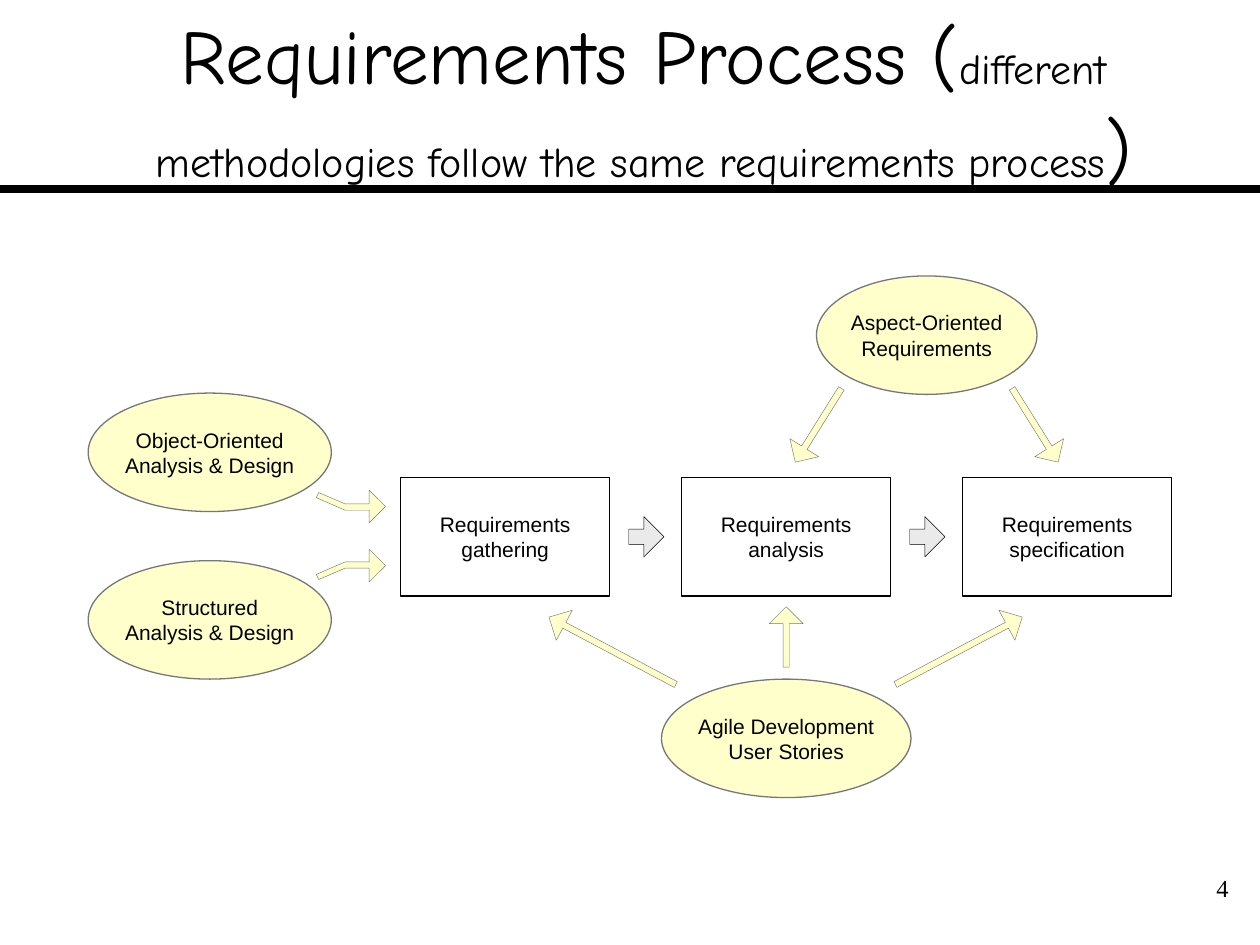
from lxml.etree import SubElement
from pptx import Presentation
from pptx.dml.color import RGBColor
from pptx.enum.shapes import MSO_CONNECTOR, MSO_SHAPE
from pptx.enum.text import MSO_ANCHOR, PP_ALIGN
from pptx.oxml.ns import qn
from pptx.util import Inches, Pt

BLACK, WHITE = "000000", "FFFFFF"
CREAM, GRAY, LIGHT_GRAY = "FFFFCC", "777777", "EAEAEA"

STEPS = ["Requirements gathering", "Requirements analysis", "Requirements specification"]
STEP_LEFT, STEP_TOP, STEP_WIDTH, STEP_PITCH = 3.18, 3.79, 1.66, 2.23
OVAL_HEIGHT = 0.94

# text, left, top, width
METHODS = [
    ("Agile Development User Stories", 5.25, 5.39, 1.98),
    ("Aspect-Oriented Requirements", 6.48, 2.19, 1.75),
    ("Object-Oriented Analysis & Design", 0.7, 3.12, 1.93),
    ("Structured Analysis & Design", 0.7, 4.45, 1.93),
]

# left, top, length, rotation, shaft share, head share
METHOD_ARROWS = [
    (6, 4.92, 0.48, 270, 0.18, 0.5),
    (6.15, 3.24, 0.69, 122, 0.19, 0.5),
    (7.87, 3.24, 0.69, 58, 0.19, 0.5),
    (4.29, 5.03, 1.14, 208, 0.19, 0.51),
    (7.04, 5.03, 1.14, 332, 0.19, 0.51),
]

BENT_ARROW = [(2.74, 4), (2.93, 4), (2.93, 3.89), (3.06, 4.02), (2.93, 4.15),
              (2.93, 4.05), (2.74, 4.05), (2.51, 3.95), (2.53, 3.91)]
MIRROR_SUM = 8.51  # the two bent arrows mirror each other about half this height


def color(hex_code):
    return RGBColor.from_string(hex_code)


def write(shape, *runs, font="Arial", align=PP_ALIGN.CENTER,
          anchor=MSO_ANCHOR.MIDDLE, inset_x=0.1, inset_y=0.05):
    """Fill a shape with one paragraph of (text, size) runs."""
    frame = shape.text_frame
    frame.word_wrap = True
    frame.vertical_anchor = anchor
    frame.margin_left = frame.margin_right = Inches(inset_x)
    frame.margin_top = frame.margin_bottom = Inches(inset_y)
    paragraph = frame.paragraphs[0]
    paragraph.alignment = align
    for text, size in runs:
        run = paragraph.add_run()
        run.text = text
        run.font.size = Pt(size)
        run.font.name = font
        run.font.color.rgb = color(BLACK)


def paint(shape, fill, line, weight):
    shape.shadow.inherit = False
    shape.fill.solid()
    shape.fill.fore_color.rgb = color(fill)
    shape.line.color.rgb = color(line)
    shape.line.width = Pt(weight)


def add_preset(slide, kind, left, top, width, height, fill, line, weight):
    shape = slide.shapes.add_shape(kind, Inches(left), Inches(top), Inches(width), Inches(height))
    paint(shape, fill, line, weight)
    return shape


def add_arrow(slide, left, top, length, height, fill, line, shaft, head, rotation=0):
    arrow = add_preset(slide, MSO_SHAPE.RIGHT_ARROW, left, top, length, height, fill, line, 0.25)
    arrow.adjustments[0] = shaft
    arrow.adjustments[1] = head
    arrow.rotation = rotation


def add_bent_arrow(slide, points):
    (start_x, start_y), *others = [(Inches(x), Inches(y)) for x, y in points]
    builder = slide.shapes.build_freeform(start_x, start_y)
    builder.add_line_segments(others, close=True)
    paint(builder.convert_to_shape(), CREAM, GRAY, 0.25)


def add_rule(slide, top):
    rule = slide.shapes.add_connector(
        MSO_CONNECTOR.STRAIGHT, 0, Inches(top), Inches(10), Inches(top))
    rule.line.color.rgb = color(BLACK)
    rule.line.width = Pt(4.5)
    SubElement(rule._element.spPr, qn("a:effectLst"))


def add_text_box(slide, left, top, width, height, *runs, **text_format):
    box = slide.shapes.add_textbox(Inches(left), Inches(top), Inches(width), Inches(height))
    write(box, *runs, **text_format)


def main():
    presentation = Presentation()
    presentation.slide_width, presentation.slide_height = Inches(10), Inches(7.5)
    slide = presentation.slides.add_slide(presentation.slide_layouts[6])

    # Heading and page number
    add_rule(slide, 1.5)
    add_text_box(slide, 9.26, 6.88, 0.59, 0.5, ("4", 14), font="Times New Roman",
                 align=PP_ALIGN.RIGHT, anchor=MSO_ANCHOR.TOP)
    add_text_box(slide, 0.42, 0.17, 9.38, 1.25,
                 ("Requirements Process (", 44),
                 ("different methodologies follow the same requirements process", 24),
                 (")", 44), font="Comic Neue", inset_x=0)

    # Process steps, with an arrow between neighbours
    for index, step_name in enumerate(STEPS):
        left = STEP_LEFT + index * STEP_PITCH
        step = add_preset(slide, MSO_SHAPE.RECTANGLE, left, STEP_TOP, STEP_WIDTH, 0.94,
                          WHITE, BLACK, 0.75)
        write(step, (step_name, 12))
        if index < len(STEPS) - 1:
            add_arrow(slide, left + STEP_WIDTH + 0.15, 4.1, 0.28, 0.32,
                      LIGHT_GRAY, BLACK, 0.38, 0.57)

    # Methodologies
    for method_name, left, top, width in METHODS:
        method = add_preset(slide, MSO_SHAPE.OVAL, left, top, width, OVAL_HEIGHT,
                            CREAM, GRAY, 0.75)
        write(method, (method_name, 12), inset_x=0, inset_y=0)

    # Arrows from methodologies to steps
    for left, top, length, rotation, shaft, head in METHOD_ARROWS:
        add_arrow(slide, left, top, length, 0.27, CREAM, GRAY, shaft, head, rotation)
    add_bent_arrow(slide, BENT_ARROW)
    add_bent_arrow(slide, [(x, MIRROR_SUM - y) for x, y in BENT_ARROW])

    presentation.save("out.pptx")


if __name__ == "__main__":
    main()
